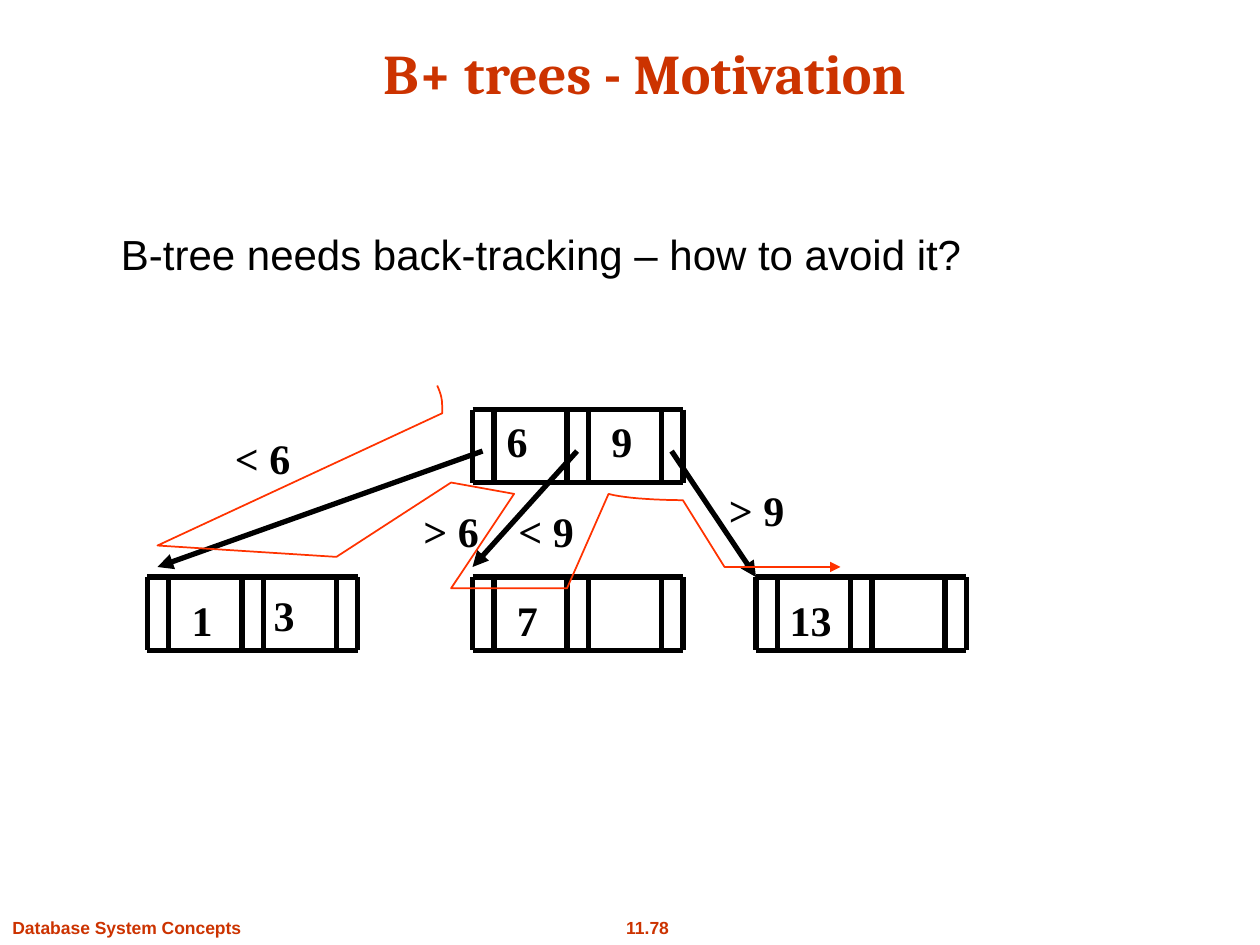
from lxml import etree
from pptx import Presentation
from pptx.dml.color import RGBColor
from pptx.enum.shapes import MSO_CONNECTOR
from pptx.enum.text import MSO_ANCHOR, MSO_AUTO_SIZE, PP_ALIGN
from pptx.oxml.ns import qn
from pptx.util import Inches, Pt

STRAIGHT = MSO_CONNECTOR.STRAIGHT
LEFT, CENTER = PP_ALIGN.LEFT, PP_ALIGN.CENTER
TOP, BOTTOM = MSO_ANCHOR.TOP, MSO_ANCHOR.BOTTOM
NO_FIT = MSO_AUTO_SIZE.NONE

BLACK, RUST, RED = "000000", "CC3300", "FF3300"
TITLE = {"name": "Cambria", "size": Pt(32), "bold": True}
BODY = {"name": "Arial", "size": Pt(24), "bold": False}
FOOT = {"name": "Arial", "size": Pt(10), "bold": True}
LABEL = {"name": "Times New Roman", "size": Pt(24), "bold": True}

NODE_W, NODE_H = 1.67, 0.58
BARS = (0, 0.17, 0.75, 0.92, 1.5, 1.67)


def color(code):
    return RGBColor.from_string(code)


def curve(a, b, c, d, steps=12):
    points = []
    for i in range(1, steps + 1):
        t = i / steps
        u = 1 - t
        points.append(tuple(
            u**3 * p + 3 * u * u * t * q + 3 * u * t * t * r + t**3 * s
            for p, q, r, s in zip(a, b, c, d)))
    return points


class Page:
    def __init__(self, slide):
        self.slide = slide
        self.shapes = slide.shapes

    def label(self, shape, text, style, tint, align=CENTER, anchor=TOP, wrap=False):
        frame = shape.text_frame
        look = {"auto_size": NO_FIT, "word_wrap": wrap, "vertical_anchor": anchor}
        for key, value in look.items():
            setattr(frame, key, value)
        para = frame.paragraphs[0]
        para.alignment = align
        para.space_before = Pt(0)
        run = para.add_run()
        run.text = text
        for key, value in style.items():
            setattr(run.font, key, value)
        run.font.color.rgb = color(tint)

    def text(self, text, x, y, w, h=0.5, style=LABEL, tint=BLACK, align=CENTER):
        box = self.shapes.add_textbox(Inches(x), Inches(y), Inches(w), Inches(h))
        self.label(box, text, style, tint, align)

    def holder(self, shape, text, place, style, tint, align, anchor):
        for key, value in zip(("left", "top", "width", "height"), place):
            setattr(shape, key, Inches(value))
        self.label(shape, text, style, tint, align, anchor, True)

    def title(self, text):
        self.holder(self.shapes.title, text, (0.7, 0.22, 8.83, 0.67),
                    TITLE, RUST, CENTER, BOTTOM)

    def body(self, text):
        shape = self.slide.placeholders[1]
        props = shape.text_frame.paragraphs[0]._p.get_or_add_pPr()
        props.set("marL", str(Inches(0.38)))
        props.set("indent", str(Inches(-0.38)))
        etree.SubElement(props, qn("a:buNone"))
        self.holder(shape, text, (0.86, 1.76, 8.58, 0.79),
                    BODY, BLACK, LEFT, TOP)

    def stroke(self, shape, tint, width, arrow):
        shape.line.color.rgb = color(tint)
        shape.line.width = Pt(width)
        if arrow:
            line = shape.line._get_or_add_ln()
            etree.SubElement(line, qn("a:tailEnd"), type="triangle")

    def line(self, x1, y1, x2, y2, host=None, arrow=False):
        ends = [Inches(v) for v in (x1, y1, x2, y2)]
        link = (host or self.shapes).add_connector(STRAIGHT, *ends)
        self.stroke(link, BLACK, 3, arrow)
        etree.SubElement(link._element.spPr, qn("a:effectLst"))

    def node(self, x, y):
        host = self.shapes.add_group_shape().shapes
        for bar in BARS:
            self.line(x + bar, y, x + bar, y + NODE_H, host)
        for edge in (y, y + NODE_H):
            self.line(x, edge, x + NODE_W, edge, host)

    def trail(self, points):
        spots = [(Inches(x), Inches(y)) for x, y in points]
        pen = self.shapes.build_freeform(*spots[0])
        pen.add_line_segments(spots[1:], close=False)
        shape = pen.convert_to_shape()
        shape.fill.background()
        shape.shadow.inherit = False
        self.stroke(shape, RED, 1, True)


def main():
    deck = Presentation()
    deck.slide_width, deck.slide_height = Inches(10), Inches(7.5)
    page = Page(deck.slides.add_slide(deck.slide_layouts[1]))

    page.text("11.78", 4.86, 7.23, 0.56, 0.27, FOOT, RUST)
    page.text("Database System Concepts", 0, 7.23, 2.02, 0.27, FOOT, RUST, LEFT)
    page.title("B+ trees - Motivation")
    page.body("B-tree needs back-tracking – how to avoid it?")

    for x, y in ((3.75, 3.25), (6, 4.58), (3.75, 4.58), (1.17, 4.58)):
        page.node(x, y)

    for x1, x2, y2 in ((3.83, 1.25, 4.5), (4.58, 3.75, 4.5), (5.33, 6, 4.58)):
        page.line(x1, 3.58, x2, y2, arrow=True)

    for key, x, y, w in (
        ("1", 1.42, 4.67, 0.37),
        ("3", 2.07, 4.63, 0.37),
        ("6", 3.92, 3.25, 0.37),
        ("7", 4, 4.67, 0.37),
        ("9", 4.75, 3.25, 0.37),
        ("13", 6.17, 4.67, 0.53),
        ("< 6", 1.76, 3.38, 0.65),
        ("> 6", 3.22, 3.96, 0.72),
        ("< 9", 4.01, 3.96, 0.65),
        ("> 9", 5.68, 3.8, 0.65),
    ):
        page.text(key, x, y, w)

    start, peak = (3.47, 3.06), (4.83, 3.92)
    page.trail([
        start,
        *curve(start, (3.51, 3.15), (3.51, 3.18), (3.51, 3.28)),
        (1.25, 4.33), (2.67, 4.42), (3.58, 3.83), (4.08, 3.92),
        (3.58, 4.67), (4.5, 4.67), peak,
        *curve(peak, (4.97, 3.96), (5.28, 3.97), (5.42, 3.97)),
        (5.75, 4.5), (6.67, 4.5),
    ])
    deck.save("out.pptx")


if __name__ == "__main__":
    main()
